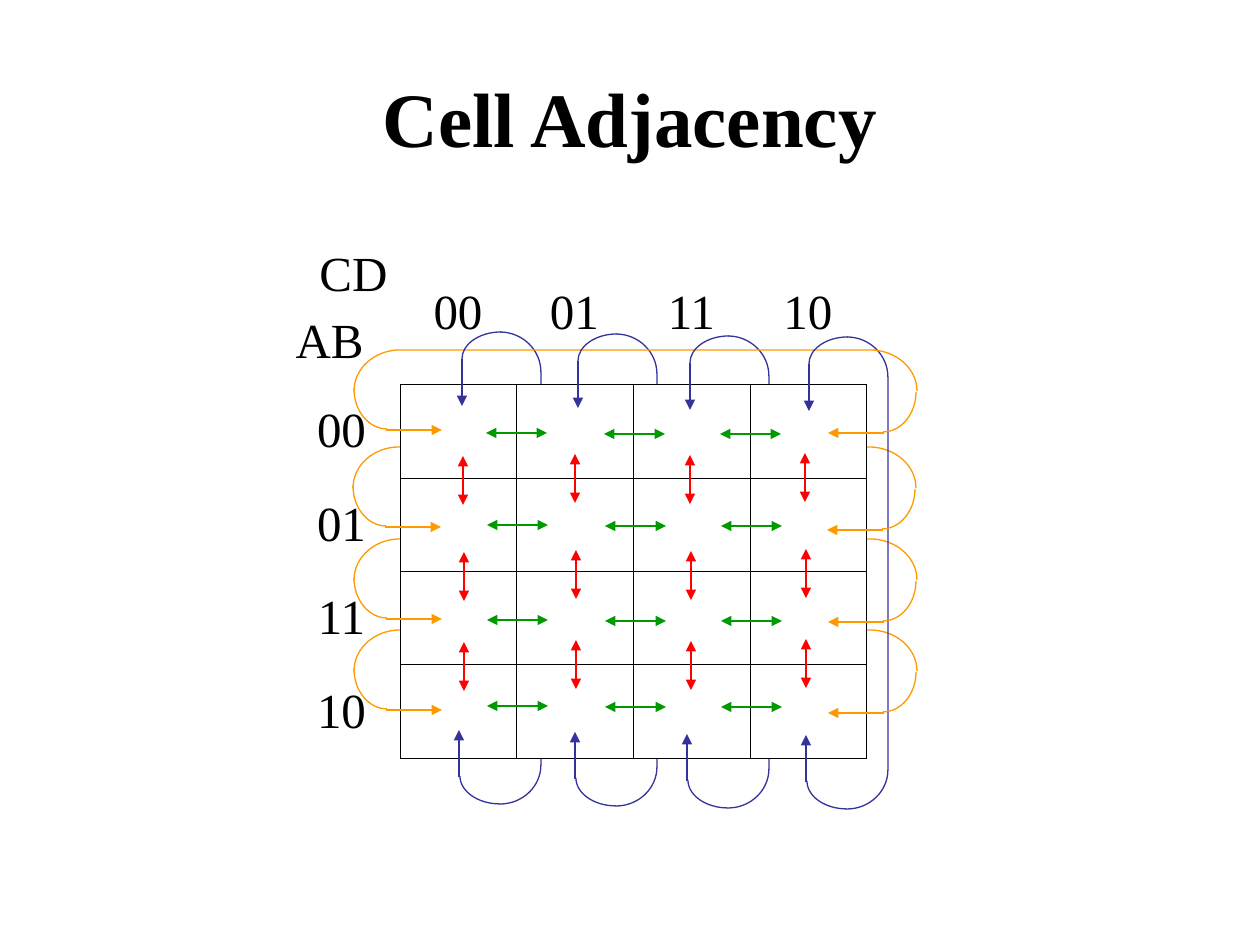
from lxml.etree import SubElement
from pptx import Presentation
from pptx.dml.color import RGBColor
from pptx.enum.shapes import MSO_CONNECTOR
from pptx.enum.text import MSO_ANCHOR, PP_ALIGN
from pptx.oxml.ns import qn
from pptx.util import Inches, Pt

PX = 7257  # EMU per px, 126 px to the inch
FONT = "Times New Roman"
BLACK = RGBColor(0x00, 0x00, 0x00)
WHITE = RGBColor(0xFF, 0xFF, 0xFF)
BLUE = RGBColor(0x33, 0x33, 0x99)
ORANGE = RGBColor(0xFF, 0x99, 0x00)
GREEN = RGBColor(0x00, 0x99, 0x00)
RED = RGBColor(0xFF, 0x00, 0x00)
ROUND = 0.55  # control point distance that makes a quarter ellipse

prs = Presentation()
prs.slide_width, prs.slide_height = Inches(10), Inches(7.5)
slide = prs.slides.add_slide(prs.slide_layouts[6])
shapes = slide.shapes


def draw_curve(color, vertical, *arcs):
    """Join quarter ellipses (x0, y0, x1, y1), leaving vertically or horizontally in turn."""
    points = [(x * PX, y * PX) for x0, y0, x1, y1 in arcs for x, y in ((x0, y0), (x1, y1))]
    builder = shapes.build_freeform(*points[0])
    builder.add_line_segments(points[1:], close=False)
    curve = builder.convert_to_shape()
    curve.shadow.inherit = False
    curve.fill.background()
    curve.line.color.rgb = color
    curve.line.width = Pt(0.75)
    # Every other segment is an arc: bend it into a cubic curve
    segments = list(curve._element.iter(qn("a:lnTo")))[::2]
    for segment, (x0, y0, x1, y1) in zip(segments, arcs):
        dx, dy = (x1 - x0) * ROUND, (y1 - y0) * ROUND
        if vertical:
            controls = (x0, y0 + dy), (x1 - dx, y1)
        else:
            controls = (x0 + dx, y0), (x1, y1 - dy)
        segment.tag = qn("a:cubicBezTo")
        end = segment[0]
        for x, y in controls:
            control = SubElement(segment, qn("a:pt"))
            control.set("x", str(round(x * PX) - curve.left))
            control.set("y", str(round(y * PX) - curve.top))
        segment.append(end)
        vertical = not vertical


def draw_arrow(color, x0, y0, x1, y1, ends=("tailEnd",)):
    arrow = shapes.add_connector(MSO_CONNECTOR.STRAIGHT, x0 * PX, y0 * PX, x1 * PX, y1 * PX)
    arrow.line.color.rgb = color
    arrow.line.width = Pt(0.75)
    for end in ends:
        SubElement(arrow.line._get_or_add_ln(), qn(f"a:{end}"), type="triangle")
    SubElement(arrow._element.spPr, qn("a:effectLst"))


# Wrap-around loops: start of each column loop, top left of each row loop
column_loops = [(500, 332), (616, 334), (728, 336), (847, 337)]
row_loops = [(354, 350), (353, 447), (354, 539), (354, 630)]
row_brackets = [((x, y + 41, x + 46, y), (x + 516, y, x + 563, y + 41)) for x, y in row_loops]
column_brackets = [((x, y, x + 41, y + 40), (x + 41, y + 433, x, y + 472))
                   for x, y in column_loops]

# Brackets that pass behind the map
for bracket in row_brackets[1:]:
    draw_curve(ORANGE, True, *bracket)
for bracket in column_brackets[2::-1]:
    draw_curve(BLUE, False, *bracket)

# Karnaugh map
codes = ["00", "01", "11", "10"]
widths = [117, 116, 117, 117, 116]
heights = [142, 94, 93, 94, 94]
kmap = shapes.add_table(5, 5, 283 * PX, 242 * PX, sum(widths) * PX, sum(heights) * PX).table
kmap.first_row = kmap.horz_banding = False
for column, width in zip(kmap.columns, widths):
    column.width = width * PX
for row, height in zip(kmap.rows, heights):
    row.height = height * PX

for r in range(5):
    for c in range(5):
        cell = kmap.cell(r, c)
        inside = r > 0 and c > 0
        for side in "LRTB":
            border = SubElement(cell._tc.get_or_add_tcPr(), qn(f"a:ln{side}"), w=str(Pt(0.45)))
            if inside or (side == "B" and c > 0) or (side == "R" and r > 0):
                fill = SubElement(border, qn("a:solidFill"))
                SubElement(fill, qn("a:srgbClr"), val=str(BLACK))
            else:
                SubElement(border, qn("a:noFill"))
        if inside:
            cell.fill.solid()
            cell.fill.fore_color.rgb = WHITE
            continue
        cell.fill.background()
        if r == c == 0:
            cell.text = "CD\nAB"
            cd, ab = cell.text_frame.paragraphs
            cd.alignment = PP_ALIGN.RIGHT
            ab.space_before = Pt(7)
        else:
            cell.text = codes[max(r, c) - 1]
            cell.vertical_anchor = MSO_ANCHOR.MIDDLE
            cell.text_frame.paragraphs[0].alignment = PP_ALIGN.CENTER
        for paragraph in cell.text_frame.paragraphs:
            paragraph.font.name = FONT
            paragraph.font.size = Pt(28)
            paragraph.font.color.rgb = BLACK

# Title
title = shapes.add_textbox(63 * PX, 38 * PX, 1134 * PX, 157 * PX).text_frame
title.word_wrap = True
title.vertical_anchor = MSO_ANCHOR.MIDDLE
title.text = "Cell Adjacency"
heading = title.paragraphs[0]
heading.alignment = PP_ALIGN.CENTER
heading.font.name = FONT
heading.font.size = Pt(44)
heading.font.bold = True
heading.font.color.rgb = BLACK

# Neighbours within a row
both = ("headEnd", "tailEnd")
for r, y in enumerate([433, 525, 620, 706]):
    for c, x in enumerate([486, 604, 720]):
        left, level = x + (r > 0), y + (c > 0)
        draw_arrow(GREEN, left, level, left + 61, level, both)

# Neighbours within a column
for x, rise in [(805, 3), (690, 1), (575, 2), (463, 0)]:
    for r, y in enumerate([456, 552, 642]):
        middle, top = x + (r > 0), y - rise
        draw_arrow(RED, middle, top, middle, top + 49, both)

# Brackets that pass in front of the map
draw_curve(BLUE, False, *column_brackets[3])
draw_curve(ORANGE, True, *row_brackets[0])

# Ends of the column loops
for x, y in column_loops:
    draw_curve(BLUE, False, (x + 1, y, x - 38, y + 27))
    draw_curve(BLUE, False, (x, y + 472, x - 40, y + 444))
    draw_arrow(BLUE, x - 38, y + 27, x - 38, y + 74)
    draw_arrow(BLUE, x - 41, y + 445, x - 41, y + 398)

# Ends of the row loops
for x, y in row_loops:
    draw_curve(ORANGE, True, (x, y + 39, x + 33, y + 79))
    draw_curve(ORANGE, True, (x + 562, y + 42, x + 529, y + 82))
    draw_arrow(ORANGE, x + 32, y + 80, x + 88, y + 80)
    draw_arrow(ORANGE, x + 530, y + 83, x + 474, y + 83)

prs.save("out.pptx")
